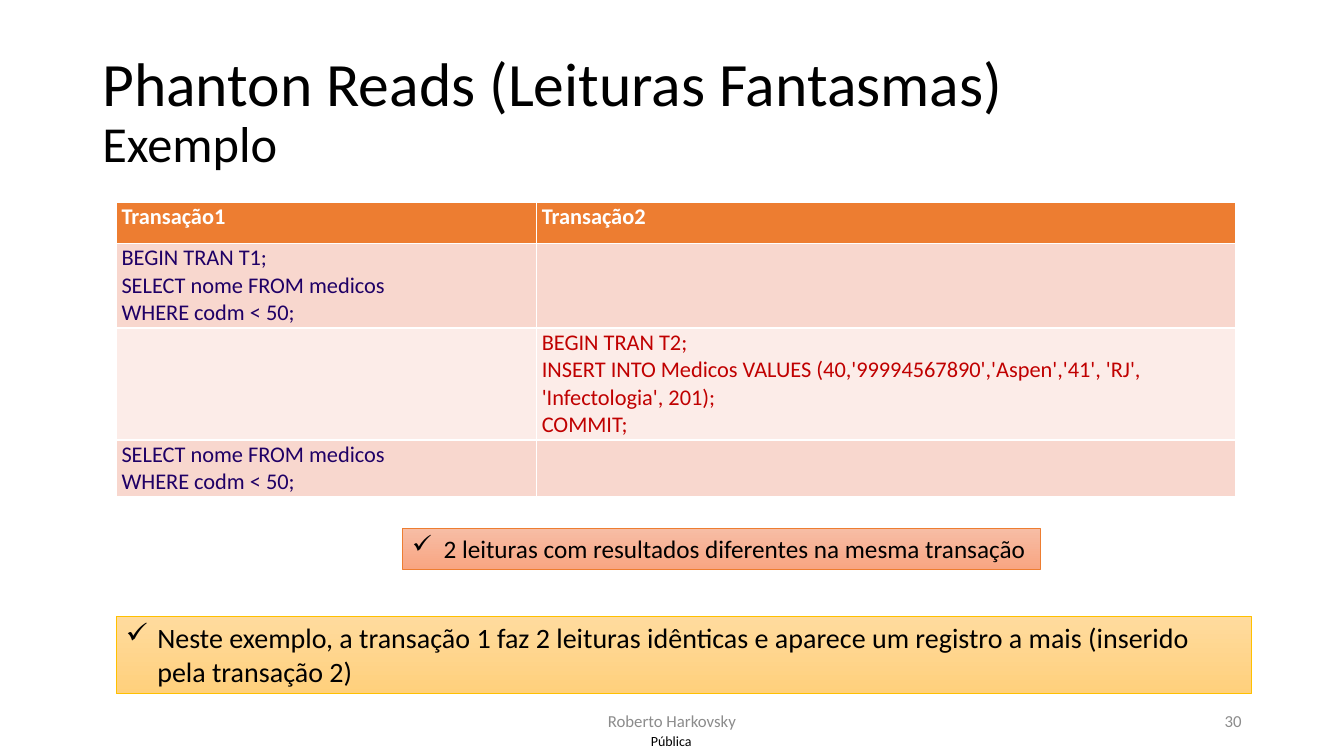
"""Build the slide on phantom reads between two transactions."""
from dataclasses import dataclass, field
from typing import Any

from lxml.etree import SubElement
from pptx import Presentation
from pptx.dml.color import RGBColor
from pptx.enum.shapes import MSO_SHAPE
from pptx.enum.text import MSO_ANCHOR, PP_ALIGN
from pptx.oxml.ns import qn
from pptx.util import Pt

BLACK = RGBColor(0x00, 0x00, 0x00)
WHITE = RGBColor(0xFF, 0xFF, 0xFF)
GREY = RGBColor(0x8C, 0x8C, 0x8C)
NAVY = RGBColor(0x1F, 0x00, 0x66)
RED = RGBColor(0xC0, 0x00, 0x00)
ORANGE = RGBColor(0xED, 0x7D, 0x31)
GOLD = RGBColor(0xFF, 0xC0, 0x00)
ROSE = RGBColor(0xF8, 0xD7, 0xCE)
BLUSH = RGBColor(0xFC, 0xEC, 0xE8)
SAND = (RGBColor(0xFF, 0xDB, 0x9E), RGBColor(0xFF, 0xD0, 0x7C))
PEACH = (RGBColor(0xF7, 0xBD, 0xA5), RGBColor(0xF8, 0xA5, 0x82))

FONT = "Calibri"
INDENT = Pt(22.5)
FLUSH = {"margin_left": 0, "margin_right": 0, "margin_top": 0, "margin_bottom": 0}
INSET = {"margin_left": Pt(3.6), "margin_right": Pt(3.6),
         "margin_top": Pt(0.72), "margin_bottom": Pt(0.72)}

Box = tuple[float, float, float, float]


@dataclass(frozen=True)
class Label:
    """Plain text box, one line for each text and size."""
    box: Box
    lines: tuple[tuple[str, float], ...]
    color: RGBColor = BLACK
    para: dict[str, Any] = field(default_factory=dict)
    frame: dict[str, Any] = field(default_factory=dict)


@dataclass(frozen=True)
class Note:
    """Shaded box with a tick bullet."""
    box: Box
    text: str
    size: float
    shades: tuple[RGBColor, RGBColor]
    edge: RGBColor


@dataclass(frozen=True)
class Row:
    """Table row with one text for each column."""
    height: float
    fill: RGBColor
    color: RGBColor
    texts: tuple[str, str]
    bold: bool = False


LABELS = (
    Label((454.3, 519.1, 50.4, 20.9), (("Pública", 10),),
          para={"alignment": PP_ALIGN.CENTER}, frame=FLUSH),
    Label((66, 28.75, 850.3, 104.4),
          (("Phanton Reads (Leituras Fantasmas)", 44), ("Exemplo", 36)),
          para={"line_spacing": 0.9}),
    Label((318, 500.5, 324, 28.75), (("Roberto Harkovsky", 12),), GREY,
          {"alignment": PP_ALIGN.CENTER}),
    Label((678, 500.5, 216, 28.75), (("30", 12),), GREY,
          {"alignment": PP_ALIGN.RIGHT}),
)
NOTES = (
    Note((82.8, 439.9, 811.4, 55.7),
         "Neste exemplo, a transação 1 faz 2 leituras idênticas e aparece "
         "um registro a mais (inserido pela transação 2)", 20, SAND, GOLD),
    Note((287.3, 377.6, 455.8, 29.1),
         "2 leituras com resultados diferentes na mesma transação",
         18, PEACH, ORANGE),
)
QUERY = "SELECT nome FROM medicos\nWHERE codm < 50;"
INSERT = ("INSERT INTO Medicos VALUES (40,'99994567890','Aspen','41', 'RJ', "
          "'Infectologia', 201);")
ROWS = (
    Row(29.2, ORANGE, WHITE, ("Transação1", "Transação2"), True),
    Row(60.4, ROSE, NAVY, (f"BEGIN TRAN T1;\n{QUERY}", "")),
    Row(80, BLUSH, RED, ("", f"BEGIN TRAN T2;\n{INSERT}\nCOMMIT;")),
    Row(40.4, ROSE, NAVY, (QUERY, "")),
)
WIDTHS = (300.2, 499)
TABLE = (83.2, 144.7, sum(WIDTHS), sum(row.height for row in ROWS))


def points(box: Box) -> list[Pt]:
    """Turn a box into lengths."""
    return [Pt(side) for side in box]


def format_with(item: Any, values: dict[str, Any]) -> None:
    """Set each named value on the item."""
    for name, value in values.items():
        setattr(item, name, value)


def paint(font: Any, size: float, color: RGBColor, bold: bool = False) -> None:
    """Set the look of a font."""
    format_with(font, {"name": FONT, "size": Pt(size), "bold": bold})
    font.color.rgb = color


def draw_label(shapes: Any, label: Label) -> None:
    """Draw a plain text box."""
    frame = shapes.add_textbox(*points(label.box)).text_frame
    format_with(frame, {"word_wrap": True, "vertical_anchor": MSO_ANCHOR.MIDDLE,
                        **label.frame})
    para = frame.paragraphs[0]
    format_with(para, label.para)
    for index, (text, size) in enumerate(label.lines):
        if index:
            para.add_line_break()
        run = para.add_run()
        run.text = text
        paint(run.font, size, label.color)


def draw_note(shapes: Any, note: Note) -> None:
    """Draw a shaded box with its bullet."""
    shape = shapes.add_shape(MSO_SHAPE.RECTANGLE, *points(note.box))
    shape.shadow.inherit = False
    shape.fill.gradient()
    shape.fill.gradient_angle = 270
    for stop, shade in zip(shape.fill.gradient_stops, note.shades):
        stop.color.rgb = shade
    shape.line.color.rgb = note.edge
    shape.line.width = Pt(0.5)
    frame = shape.text_frame
    format_with(frame, {"word_wrap": True, "vertical_anchor": MSO_ANCHOR.TOP})
    para = frame.paragraphs[0]
    para.alignment = PP_ALIGN.LEFT
    run = para.add_run()
    run.text = note.text
    paint(run.font, note.size, BLACK)
    props = para._p.get_or_add_pPr()
    props.set("marL", str(int(INDENT)))
    props.set("indent", str(-int(INDENT)))
    SubElement(props, qn("a:buChar"), char="✓")


def draw_table(shapes: Any) -> None:
    """Draw the table of both transactions."""
    table = shapes.add_table(len(ROWS), len(WIDTHS), *points(TABLE)).table
    for column, width in zip(table.columns, WIDTHS):
        column.width = Pt(width)
    for line, row in zip(table.rows, ROWS):
        line.height = Pt(row.height)
        for cell, text in zip(line.cells, row.texts):
            format_with(cell, INSET)
            cell.fill.solid()
            cell.fill.fore_color.rgb = row.fill
            cell.text = text
            for para in cell.text_frame.paragraphs:
                for run in para.runs:
                    paint(run.font, 16, row.color, row.bold)


def main() -> None:
    """Build and save the slide."""
    deck = Presentation()
    format_with(deck, {"slide_width": Pt(960), "slide_height": Pt(540)})
    shapes = deck.slides.add_slide(deck.slide_layouts[6]).shapes
    for label in LABELS:
        draw_label(shapes, label)
    draw_table(shapes)
    for note in NOTES:
        draw_note(shapes, note)
    deck.save("out.pptx")


if __name__ == "__main__":
    main()
